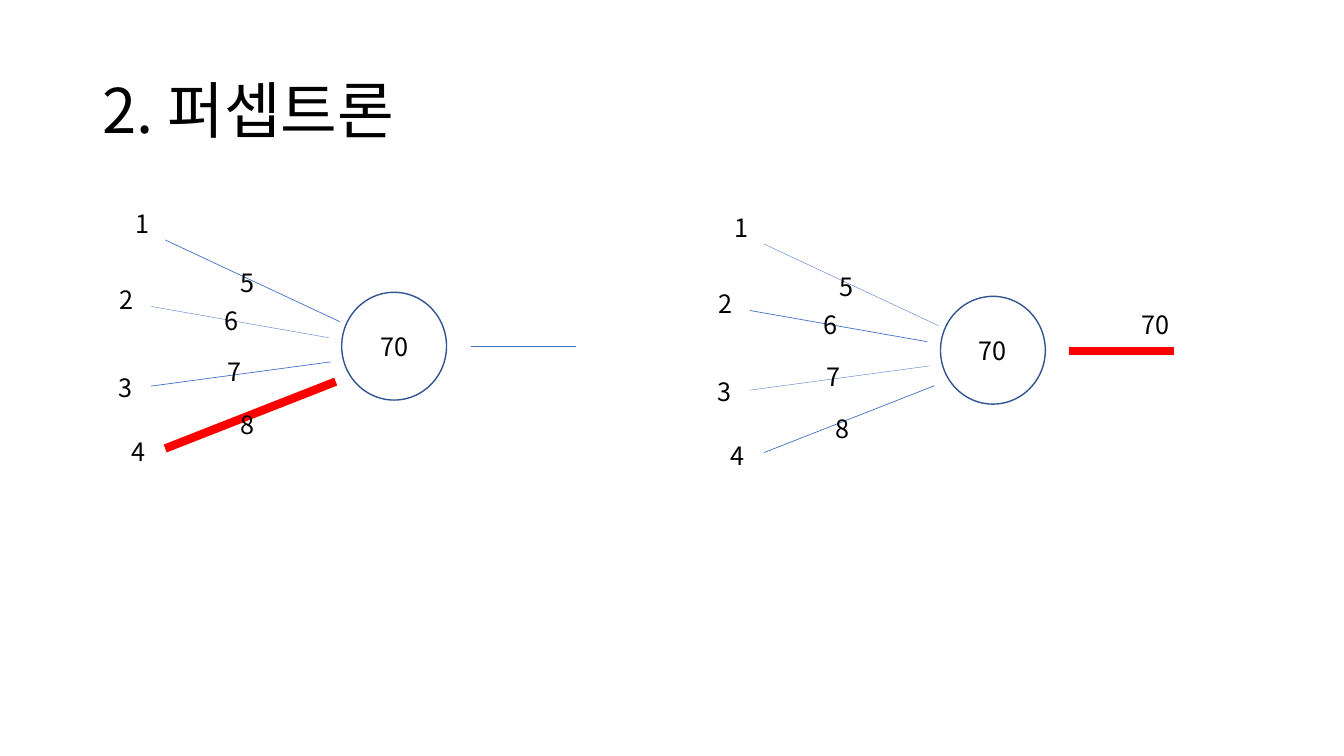
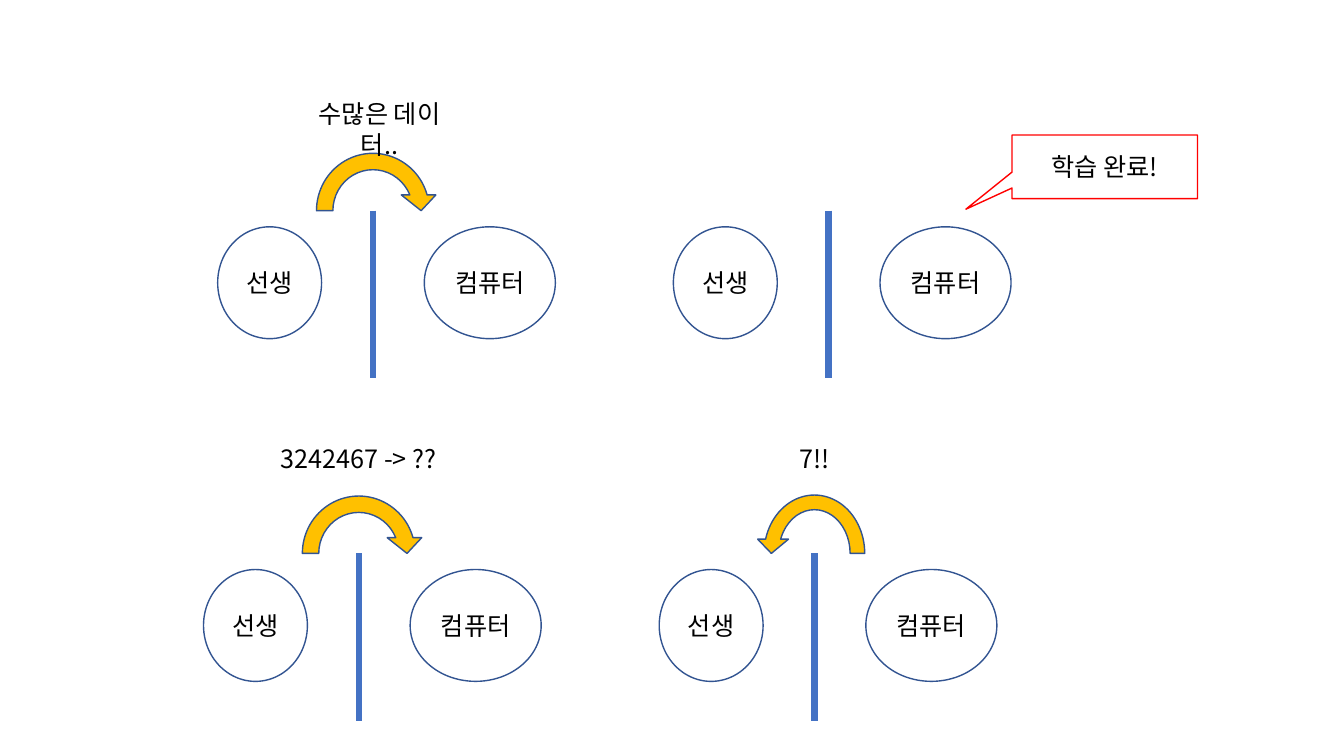
"""Build two slides: perceptron diagrams and the teacher and computer scenes."""
from dataclasses import dataclass
from typing import Any, NamedTuple, Optional

from lxml import etree
from pptx import Presentation
from pptx.dml.color import RGBColor
from pptx.enum.shapes import MSO_CONNECTOR, MSO_SHAPE
from pptx.enum.text import MSO_ANCHOR, MSO_AUTO_SIZE, PP_ALIGN
from pptx.oxml.ns import qn
from pptx.util import Pt

STRAIGHT = MSO_CONNECTOR.STRAIGHT
ELLIPSE = MSO_SHAPE.OVAL
ARC_ARROW = MSO_SHAPE.CIRCULAR_ARROW
CALLOUT = MSO_SHAPE.RECTANGULAR_CALLOUT
LEFT, CENTER = PP_ALIGN.LEFT, PP_ALIGN.CENTER
MIDDLE, TOP = MSO_ANCHOR.MIDDLE, MSO_ANCHOR.TOP
NO_FIT, GROW = MSO_AUTO_SIZE.NONE, MSO_AUTO_SIZE.SHAPE_TO_FIT_TEXT

FONT = "Noto Sans CJK KR"
COLORS = {
    "text": "000000",
    "outline": "325491",
    "line": "4472C4",
    "accent": "FF0000",
    "arrow": "FFC000",
}
TITLE_FORMAT = {"word_wrap": True, "vertical_anchor": MIDDLE, "auto_size": NO_FIT}
SHAPE_FORMAT = {"word_wrap": True, "vertical_anchor": MIDDLE}
LABEL_FORMAT = {"word_wrap": True, "vertical_anchor": TOP, "auto_size": GROW}
LABEL_HEIGHT = 29
ARC_ADJUSTMENTS = (0.125, 11.423, 204.577, 108, 0.132)
CALLOUT_ADJUSTMENTS = (-0.749, 0.667)


class Box(NamedTuple):
    """Left, top, width and height in points."""
    left: float
    top: float
    width: float
    height: float

    def shifted(self, across: float, down: float) -> "Box":
        """Return the box moved by the given distances."""
        return self._replace(left=self.left + across, top=self.top + down)


class Segment(NamedTuple):
    """Start and end of a line in points."""
    start_x: float
    start_y: float
    end_x: float
    end_y: float

    def shifted(self, across: float, down: float) -> "Segment":
        """Return the segment moved by the given distances."""
        return Segment(self.start_x + across, self.start_y + down,
                       self.end_x + across, self.end_y + down)


class Stroke(NamedTuple):
    """Line colour name and width in points."""
    color: str
    width: float


class Label(NamedTuple):
    """Text with its left and top in points."""
    text: str
    left: float
    top: float


@dataclass
class Perceptron:
    """One neuron diagram: its offset, line strokes and last weight label."""
    across: float
    down: float
    inputs: tuple[Stroke, ...]
    output: Stroke
    last_weight: Label


@dataclass
class Scene:
    """A teacher and a computer, with an optional arrow and caption."""
    left: float
    top: float
    arrow: Optional[Box] = None
    flipped: bool = False
    caption: str = ""
    caption_box: Optional[Box] = None


OUTLINE = Stroke("outline", 1)
HAIR, THIN = Stroke("line", 0.25), Stroke("line", 0.5)
ACTIVE, DIVIDER_STROKE = Stroke("accent", 6), Stroke("line", 4.5)

NEURON = Box(244.1, 208.8, 74.9, 77)
INPUT_LINES = (
    Segment(118, 171.4, 242.6, 229.7),
    Segment(108, 218.9, 234.7, 241.2),
    Segment(108, 275.8, 236.2, 258.5),
    Segment(118, 320.4, 239.8, 272.6),
)
OUTPUT_LINE = Segment(336.2, 247.7, 411.1, 247.7)
NEURON_LABELS = (
    Label("1", 90, 145.4),
    Label("2", 78.5, 199.8),
    Label("3", 77.8, 262.1),
    Label("4", 87.1, 308.2),
    Label("5", 164.9, 187.2),
    Label("6", 153.4, 214.6),
    Label("7", 155.5, 251.3),
)
PERCEPTRONS = (
    Perceptron(0, 0, (THIN, HAIR, THIN, ACTIVE), THIN, Label("8", 164.9, 288.7)),
    Perceptron(427.7, 2.9, (HAIR, THIN, HAIR, THIN), ACTIVE, Label("8", 162, 288.7)),
)
RESULT_BOX = Box(808.6, 217.4, 60.5, LABEL_HEIGHT)

TEACHER = Box(0, 0, 74.2, 79.9)
COMPUTER = Box(147.6, 0, 93.6, 79.9)
DIVIDER = Segment(110.9, -11.5, 110.9, 108)
ARROW = Box(64.1, -59, 93.6, 95)
RETURN_ARROW = Box(69.1, -59, 83.5, 95)
CAPTION = Box(44.6, -93.6, 132.5, LABEL_HEIGHT)
SCENES = (
    Scene(155.5, 162, ARROW, caption="수많은 데이터..",
          caption_box=Box(54, -95, 123.1, LABEL_HEIGHT)),
    Scene(481, 162),
    Scene(145.4, 406.8, ARROW, caption="3242467 -> ??", caption_box=CAPTION),
    Scene(470.9, 406.8, RETURN_ARROW, True, "7!!", CAPTION),
)
DONE_BOX = Box(722.9, 96.5, 132.5, 45.4)


def set_attributes(target: Any, values: dict[str, Any]) -> None:
    """Set each named value on the target."""
    for name, value in values.items():
        setattr(target, name, value)


def color(name: str) -> RGBColor:
    """Return a palette colour."""
    return RGBColor.from_string(COLORS[name])


def write_text(shape: Any, text: str, frame_format: dict[str, Any],
               alignment: Any, size: float = 18, spacing: float = 1.0) -> None:
    """Write one formatted paragraph into a shape."""
    frame = shape.text_frame
    set_attributes(frame, frame_format)
    paragraph = frame.paragraphs[0]
    set_attributes(paragraph, {"alignment": alignment, "line_spacing": spacing})
    run = paragraph.add_run()
    run.text = text
    set_attributes(run.font, {"name": FONT, "size": Pt(size)})
    run.font.color.rgb = color("text")
    east_asian = etree.SubElement(run.font._element, qn("a:ea"))
    east_asian.set("typeface", FONT)


def set_stroke(line: Any, stroke: Stroke) -> None:
    """Apply a stroke to a line format."""
    line.color.rgb = color(stroke.color)
    line.width = Pt(stroke.width)


def add_line(slide: Any, segment: Segment, stroke: Stroke) -> None:
    """Draw a straight line without a shadow."""
    connector = slide.shapes.add_connector(STRAIGHT, *map(Pt, segment))
    set_stroke(connector.line, stroke)
    etree.SubElement(connector.element.spPr, qn("a:effectLst"))


def add_shape(slide: Any, kind: Any, box: Box, stroke: Stroke = OUTLINE, text: str = "",
              fill: str = "", adjustments: tuple[float, ...] = ()) -> Any:
    """Draw an outlined preset shape, with optional fill and text."""
    shape = slide.shapes.add_shape(kind, *map(Pt, box))
    shape.shadow.inherit = False
    set_stroke(shape.line, stroke)
    if fill:
        shape.fill.solid()
        shape.fill.fore_color.rgb = color(fill)
    else:
        shape.fill.background()
    for index, value in enumerate(adjustments):
        shape.adjustments[index] = value
    if text:
        write_text(shape, text, SHAPE_FORMAT, CENTER)
    return shape


def add_label(slide: Any, text: str, box: Box, alignment: Any = LEFT) -> None:
    """Add a wrapping text box."""
    textbox = slide.shapes.add_textbox(*map(Pt, box))
    write_text(textbox, text, LABEL_FORMAT, alignment)


def add_title(slide: Any, text: str) -> None:
    """Place and fill the title placeholder."""
    title = slide.shapes.title
    set_attributes(title, {"left": Pt(66), "top": Pt(28.75),
                           "width": Pt(828), "height": Pt(104.4)})
    write_text(title, text, TITLE_FORMAT, LEFT, size=44, spacing=0.9)


def draw_perceptron(slide: Any, perceptron: Perceptron) -> None:
    """Draw a neuron with its inputs, weights and output."""
    offset = (perceptron.across, perceptron.down)
    add_shape(slide, ELLIPSE, NEURON.shifted(*offset), text="70")
    for segment, stroke in zip(INPUT_LINES, perceptron.inputs):
        add_line(slide, segment.shifted(*offset), stroke)
    add_line(slide, OUTPUT_LINE.shifted(*offset), perceptron.output)
    for label in (*NEURON_LABELS, perceptron.last_weight):
        box = Box(label.left, label.top, 35.3, LABEL_HEIGHT)
        add_label(slide, label.text, box.shifted(*offset))


def draw_scene(slide: Any, scene: Scene) -> None:
    """Draw a divided teacher and computer, then the arrow and caption."""
    offset = (scene.left, scene.top)
    add_line(slide, DIVIDER.shifted(*offset), DIVIDER_STROKE)
    for text, box in (("선생", TEACHER), ("컴퓨터", COMPUTER)):
        add_shape(slide, ELLIPSE, box.shifted(*offset), text=text)
    if scene.arrow:
        arrow = add_shape(slide, ARC_ARROW, scene.arrow.shifted(*offset),
                          fill="arrow", adjustments=ARC_ADJUSTMENTS)
        if scene.flipped:
            arrow.element.spPr.find(qn("a:xfrm")).set("flipH", "1")
    if scene.caption_box:
        add_label(slide, scene.caption, scene.caption_box.shifted(*offset), CENTER)


def build_perceptron_slide(presentation: Any) -> None:
    """Build the slide with two perceptrons."""
    slide = presentation.slides.add_slide(presentation.slide_layouts[5])
    add_title(slide, "2. 퍼셉트론")
    for perceptron in PERCEPTRONS:
        draw_perceptron(slide, perceptron)
    add_label(slide, "70", RESULT_BOX)


def build_learning_slide(presentation: Any) -> None:
    """Build the slide with four learning scenes."""
    slide = presentation.slides.add_slide(presentation.slide_layouts[6])
    for scene in SCENES:
        draw_scene(slide, scene)
    add_shape(slide, CALLOUT, DONE_BOX, Stroke("accent", 1), "학습 완료!",
              adjustments=CALLOUT_ADJUSTMENTS)


def main() -> None:
    """Build and save the presentation."""
    presentation = Presentation()
    set_attributes(presentation, {"slide_width": Pt(960), "slide_height": Pt(540)})
    build_perceptron_slide(presentation)
    build_learning_slide(presentation)
    presentation.save("out.pptx")


main()
